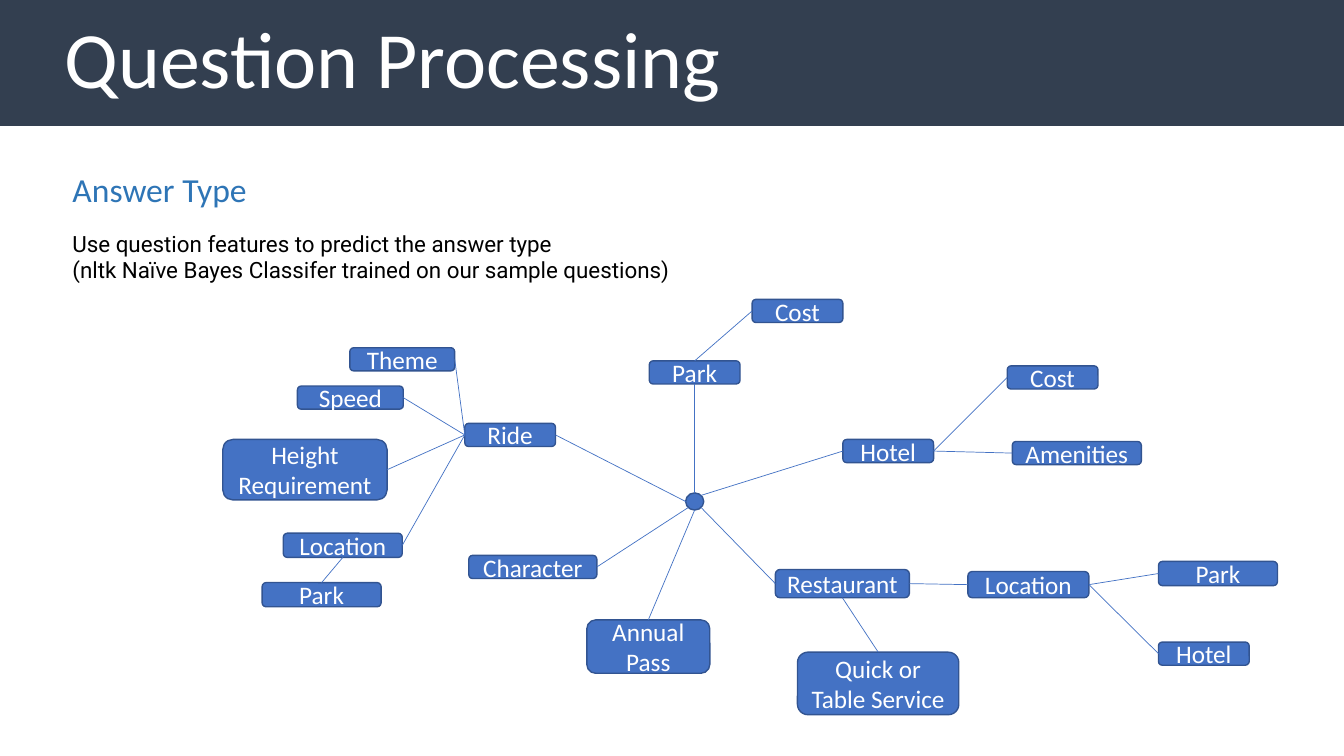
import math
from pptx import Presentation, util as u
from pptx.dml.color import RGBColor
from pptx.enum import shapes, text
from pptx.oxml.ns import qn
from lxml import etree

WHITE = RGBColor(0xFF, 0xFF, 0xFF)
BLACK = RGBColor(0, 0, 0)
NAVY = RGBColor(0x33, 0x3F, 0x50)
HEADING_BLUE = RGBColor(0x2E, 0x75, 0xB6)
NODE_BLUE = RGBColor(0x44, 0x72, 0xC4)
OUTLINE_BLUE = RGBColor(0x32, 0x54, 0x91)
TOP, LEFT, BOTTOM, RIGHT = range(4)
CELL = u.Inches(0.1)

presentation = Presentation()
presentation.slide_width = u.Inches(13.33)
presentation.slide_height = u.Inches(7.5)
slide = presentation.slides.add_slide(presentation.slide_layouts[5])


def add_run(paragraph, words, size, font, color):
    run = paragraph.add_run()
    run.text = words
    run.font.size = u.Pt(size)
    run.font.name = font
    run.font.color.rgb = color


def add_node(kind, column, row, columns, rows):
    shape = slide.shapes.add_shape(
        kind, *(round(n * CELL) for n in (column, row, columns, rows)))
    shape.shadow.inherit = False
    shape.fill.solid()
    shape.fill.fore_color.rgb = NODE_BLUE
    shape.line.color.rgb = OUTLINE_BLUE
    shape.line.width = u.Pt(1)
    return shape


title = slide.shapes.title
title.left, title.top = 0, 0
title.width, title.height = presentation.slide_width, presentation.slide_height // 6
title.fill.solid()
title.fill.fore_color.rgb = NAVY
frame = title.text_frame
frame.auto_size = text.MSO_AUTO_SIZE.NONE
frame.vertical_anchor = text.MSO_ANCHOR.MIDDLE
frame.margin_left = u.Inches(0.64)
paragraph = frame.paragraphs[0]
paragraph.alignment = text.PP_ALIGN.LEFT
paragraph.line_spacing = 0.9
add_run(paragraph, "Question Processing", 57, "Calibri", WHITE)

text_blocks = [
    (16.3, 64.8, 5, 24, "Calibri", HEADING_BLUE, ["Answer Type"]),
    (22.3, 90.4, 6.4, 16, "Roboto", BLACK,
     ["Use question features to predict the answer type",
      "(nltk Naïve Bayes Classifer trained on our sample questions)"]),
]
for row, columns, rows, size, font, color, lines in text_blocks:
    box = slide.shapes.add_textbox(
        *(round(n * CELL) for n in (6.2, row, columns, rows)))
    frame = box.text_frame
    frame.word_wrap = True
    for index, words in enumerate(lines):
        paragraph = frame.add_paragraph() if index else frame.paragraphs[0]
        add_run(paragraph, words, size, font, color)

hub = add_node(shapes.MSO_SHAPE.OVAL, 68, 48.9, 1.8, 1.7)

nodes = [
    ("ride", "Ride", 46.1, 42, 9, 2.3),
    ("restaurant", "Restaurant", 76.9, 56.5, 13.3, 2.8),
    ("hotel", "Hotel", 83.6, 43.6, 9, 2.3),
    ("character", "Character", 46.5, 55.1, 12.7, 2.3),
    ("park", "Park", 64.4, 35.8, 9, 2.3),
    ("annual pass", "Annual Pass", 58.2, 61.5, 12.2, 5.3),
    ("park cost", "Cost", 74.6, 29.7, 9, 2.3),
    ("hotel cost", "Cost", 99.9, 36.3, 9, 2.3),
    ("amenities", "Amenities", 100.4, 43.8, 12.8, 2.3),
    ("theme", "Theme", 34.7, 34.5, 10.4, 2.3),
    ("speed", "Speed", 29.5, 38.3, 10.5, 2.3),
    ("height", "Height Requirement", 22.1, 43.6, 16.3, 6),
    ("service", "Quick or Table Service", 79.1, 64.7, 16, 6.2),
    ("ride location", "Location", 28.1, 52.9, 11.8, 2.4),
    ("restaurant location", "Location", 96, 56.7, 12, 2.6),
    ("ride park", "Park", 26, 57.8, 11.8, 2.4),
    ("restaurant park", "Park", 114.9, 55.7, 11.8, 2.4),
    ("restaurant hotel", "Hotel", 114.9, 63.7, 9, 2.3),
]
node_shapes = {}
for name, label, *place in nodes:
    shape = add_node(shapes.MSO_SHAPE.ROUNDED_RECTANGLE, *place)
    frame = shape.text_frame
    frame.word_wrap = True
    frame.vertical_anchor = text.MSO_ANCHOR.MIDDLE
    paragraph = frame.paragraphs[0]
    paragraph.alignment = text.PP_ALIGN.CENTER
    add_run(paragraph, label, 18, "Calibri", WHITE)
    node_shapes[name] = shape

connectors = []
hub_links = [
    (135, "character", RIGHT), (180, "ride", RIGHT), (270, "park", BOTTOM),
    (315, "hotel", LEFT), (45, "restaurant", LEFT), (90, "annual pass", TOP),
]
for degrees, name, side in hub_links:
    angle = math.radians(degrees)
    x = round(hub.left + hub.width / 2 * (1 + math.cos(angle)))
    y = round(hub.top + hub.height / 2 * (1 + math.sin(angle)))
    connector = slide.shapes.add_connector(shapes.MSO_CONNECTOR.STRAIGHT, x, y, x, y)
    connector.end_connect(node_shapes[name], side)
    connectors.append(connector)

branch_links = [
    ("ride", LEFT, "theme", RIGHT),
    ("ride", LEFT, "speed", RIGHT),
    ("ride", LEFT, "height", RIGHT),
    ("ride", LEFT, "ride location", RIGHT),
    ("ride location", BOTTOM, "ride park", TOP),
    ("restaurant", BOTTOM, "service", TOP),
    ("restaurant", RIGHT, "restaurant location", LEFT),
    ("restaurant location", RIGHT, "restaurant park", LEFT),
    ("restaurant location", RIGHT, "restaurant hotel", LEFT),
    ("hotel", RIGHT, "hotel cost", LEFT),
    ("hotel", RIGHT, "amenities", LEFT),
    ("park", TOP, "park cost", LEFT),
]
for start, start_side, end, end_side in branch_links:
    connector = slide.shapes.add_connector(shapes.MSO_CONNECTOR.STRAIGHT, 0, 0, 0, 0)
    connector.begin_connect(node_shapes[start], start_side)
    connector.end_connect(node_shapes[end], end_side)
    connectors.append(connector)

for connector in connectors:
    connector.line.color.rgb = NODE_BLUE
    connector.line.width = u.Pt(0.5)
    etree.SubElement(connector._element.spPr, qn("a:effectLst"))

presentation.save("out.pptx")
